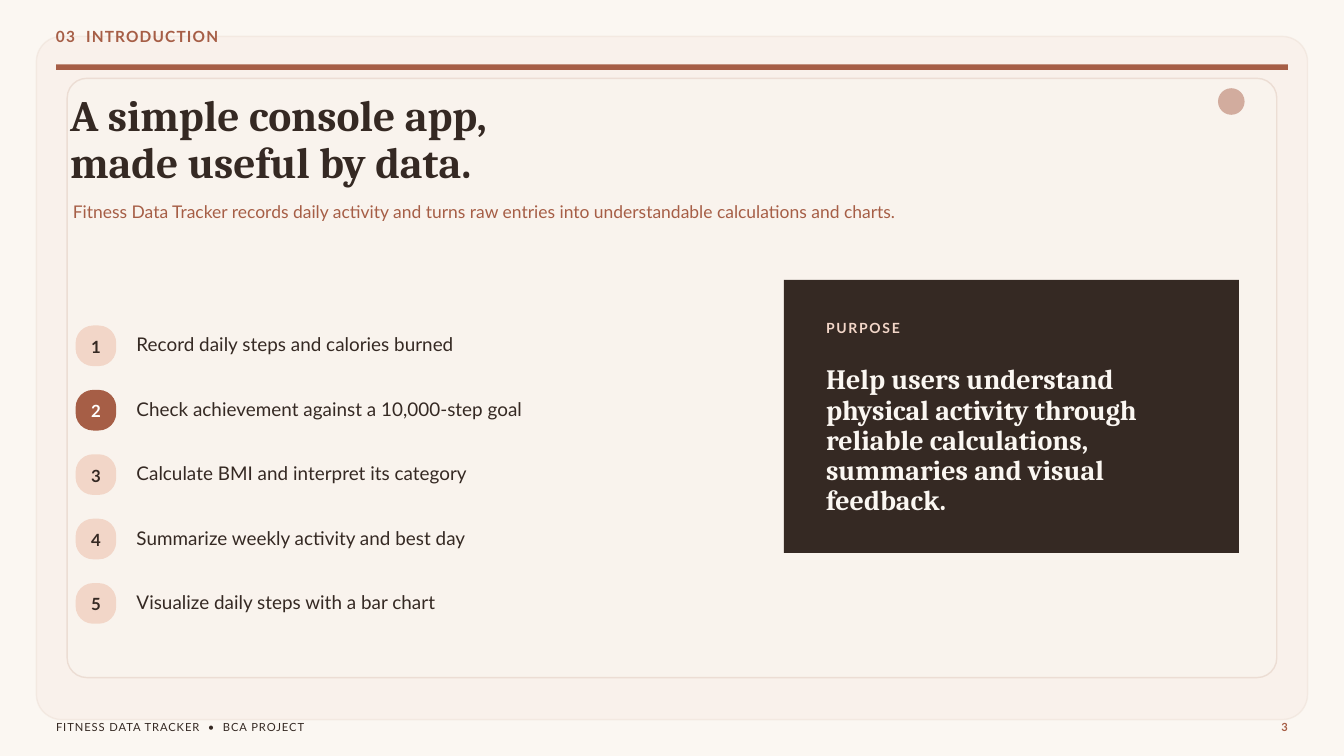
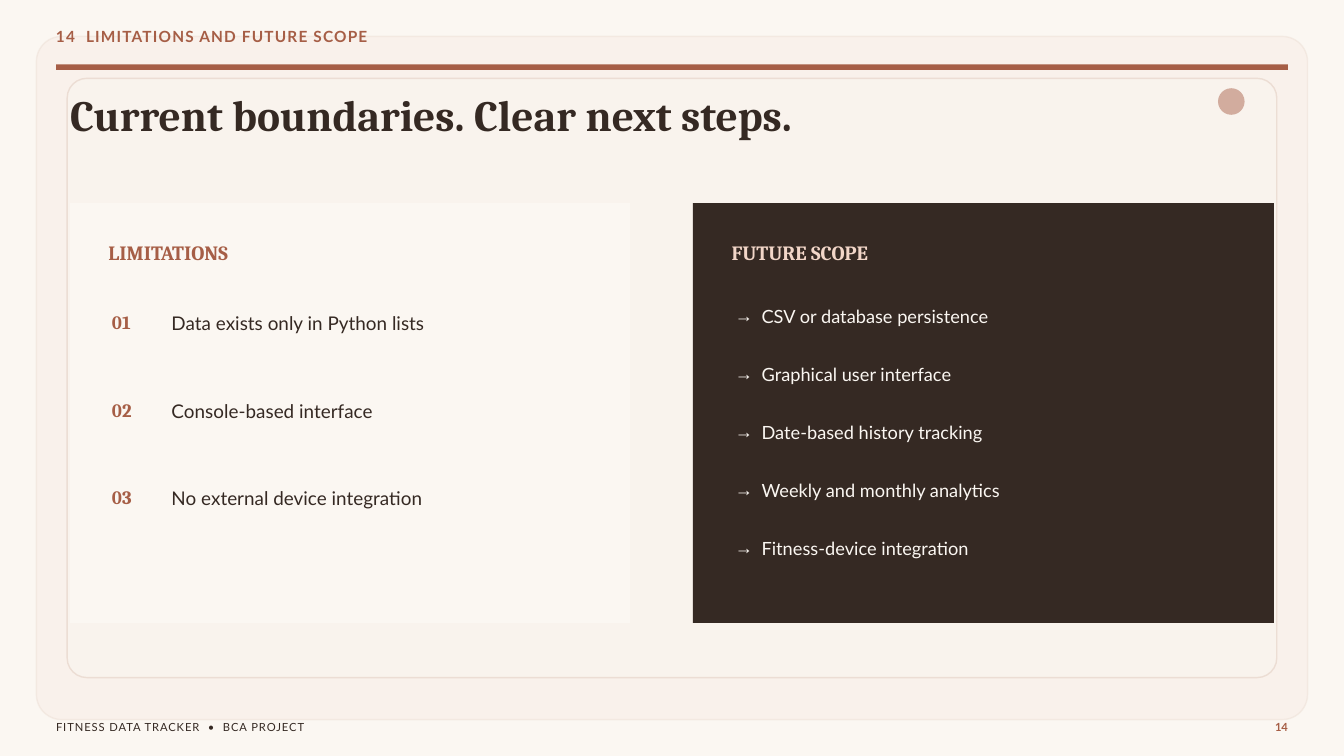
"""Build the introduction and the limitations slides of the fitness tracker deck."""
from collections import namedtuple

from lxml import etree
from pptx import Presentation
from pptx import util as u
from pptx.dml.color import RGBColor
from pptx.enum import shapes, text
from pptx.oxml import ns

CREAM = RGBColor(0xFB, 0xF7, 0xF2)
BLUSH = RGBColor(0xF2, 0xD6, 0xC8)
SAND = RGBColor(0xD5, 0xB8, 0xA8)
RUST = RGBColor(0xA6, 0x5E, 0x46)
COCOA = RGBColor(0x35, 0x29, 0x23)
WHITE = RGBColor(0xFF, 0xFF, 0xFF)

EMU_PER_PX = 9525
PT_PER_PX = 0.75

Style = namedtuple("Style", "font size bold tracking", defaults=(False, 0))
LEADING = {"Cambria": 1.08, "Lato": 1.3}
TITLE = Style("Cambria", 46.5, True)
STATEMENT = Style("Cambria", 30, True)
HEADING = Style("Cambria", 21.75, True)
ORDINAL = Style("Cambria", 20.25, True)
SECTION = Style("Lato", 16.5, True, 130)
LABEL = Style("Lato", 15, True, 180)
FOOTER = Style("Lato", 12, False, 100)
PAGE = Style("Lato", 12, True)
SUBTITLE = Style("Lato", 18.75)
ITEM = Style("Lato", 20.25)
STEP = Style("Lato", 19.5)
BADGE = Style("Lato", 18, True)


def px(*lengths):
    return [u.Emu(length * EMU_PER_PX) for length in lengths]


class Deck:
    """Holds the presentation, its shared style and the current slide."""

    def __init__(self):
        self.prs = Presentation()
        self.prs.slide_width, self.prs.slide_height = px(1920, 1080)
        background = self.prs.slide_master.background.fill
        background.solid()
        background.fore_color.rgb = CREAM
        self.slide = None

    def start(self, layout, number, section, title):
        self.slide = self.prs.slides.add_slide(self.prs.slide_layouts[layout])
        self.panel((52, 52, 1816, 976), BLUSH, radius=36, line=SAND, opacity=16)
        self.panel((1740, 126, 38, 38), RUST, radius=19, opacity=72)
        self.panel((96, 112, 1728, 856), CREAM, radius=28, line=SAND, opacity=34)
        self.panel((80, 92, 1760, 8), RUST)
        self.label((80, 36, 1500, 28), f"{number:02}  {section}", SECTION, RUST)
        self.label((80, 1027, 800, 20), "FITNESS DATA TRACKER  •  BCA PROJECT", FOOTER, COCOA)
        self.label((1740, 1027, 100, 20), str(number), PAGE, RUST, text.PP_ALIGN.RIGHT)
        self.placeholder(0, (100, 134, 1500, 68 * len(title)), title, TITLE, COCOA)

    def panel(self, box, color, radius=0, line=None, opacity=100):
        kind = shapes.MSO_SHAPE.ROUNDED_RECTANGLE if radius else shapes.MSO_SHAPE.RECTANGLE
        panel = self.slide.shapes.add_shape(kind, *px(*box))
        panel.shadow.inherit = False
        if radius:
            panel.adjustments[0] = radius / min(box[2:])
        panel.fill.solid()
        panel.fill.fore_color.rgb = color
        if line:
            panel.line.color.rgb = line
            panel.line.width = u.Pt(1.5)
        else:
            panel.line.fill.background()
        if opacity < 100:
            for tint in panel.element.spPr.iter(ns.qn("a:srgbClr")):
                etree.SubElement(tint, ns.qn("a:alpha"), val=str(opacity * 1000))
        return panel

    def label(self, box, words, style, color, align=text.PP_ALIGN.LEFT):
        label = self.slide.shapes.add_textbox(*px(*box))
        self.typeset(label, [words], style, color, align)

    def badge(self, box, words, fill, color):
        badge = self.panel(box, fill, radius=25)
        self.typeset(badge, [words], BADGE, color, text.PP_ALIGN.CENTER, text.MSO_ANCHOR.MIDDLE)

    def placeholder(self, index, box, lines, style, color, pitch=0, bullet=None):
        holder = self.slide.placeholders[index]
        holder.left, holder.top, holder.width, holder.height = px(*box)
        holder.element.getparent().append(holder.element)
        self.typeset(holder, lines, style, color, pitch=pitch, bullet=bullet)

    def typeset(self, shape, lines, style, color, align=text.PP_ALIGN.LEFT,
                anchor=text.MSO_ANCHOR.TOP, pitch=0, bullet=None):
        frame = shape.text_frame
        frame.word_wrap = True
        frame.auto_size = text.MSO_AUTO_SIZE.NONE
        frame.vertical_anchor = anchor
        frame.margin_left = frame.margin_top = frame.margin_right = frame.margin_bottom = 0
        leading = style.size * LEADING[style.font]
        for row, words in enumerate(lines):
            paragraph = frame.add_paragraph() if row else frame.paragraphs[0]
            self.mark(paragraph, bullet)
            paragraph.alignment = align
            paragraph.line_spacing = u.Pt(leading)
            paragraph.space_before = u.Pt(pitch * PT_PER_PX - leading if row and pitch else 0)
            run = paragraph.add_run()
            run.text = words
            run.font.name = style.font
            run.font.size = u.Pt(style.size)
            run.font.bold = style.bold
            run.font.color.rgb = color
            if style.tracking:
                run.font._element.set("spc", str(style.tracking))

    def mark(self, paragraph, bullet):
        properties = paragraph._p.get_or_add_pPr()
        hang = px(38)[0] if bullet else 0
        properties.set("marL", str(hang))
        properties.set("indent", str(-hang))
        if bullet:
            etree.SubElement(properties, ns.qn("a:buChar"), char=bullet)
        else:
            etree.SubElement(properties, ns.qn("a:buNone"))


def introduction(deck):
    deck.start(1, 3, "INTRODUCTION", ["A simple console app,", "made useful by data."])
    deck.label((104, 285, 1380, 32),
               "Fitness Data Tracker records daily activity and turns raw entries into "
               "understandable calculations and charts.", SUBTITLE, RUST)
    features = [
        "Record daily steps and calories burned",
        "Check achievement against a 10,000-step goal",
        "Calculate BMI and interpret its category",
        "Summarize weekly activity and best day",
        "Visualize daily steps with a bar chart",
    ]
    pitch, highlighted = 92, 1
    for row in range(len(features)):
        fill, color = (RUST, WHITE) if row == highlighted else (BLUSH, COCOA)
        deck.badge((108, 465 + row * pitch, 58, 58), str(row + 1), fill, color)
    deck.placeholder(1, (195, 473, 800, 403), features, ITEM, COCOA, pitch)
    deck.panel((1120, 400, 650, 390), COCOA)
    deck.label((1180, 454, 530, 25), "PURPOSE", LABEL, BLUSH)
    deck.label((1180, 522, 500, 261),
               "Help users understand physical activity through reliable calculations, "
               "summaries and visual feedback.", STATEMENT, CREAM)


def limitations(deck):
    deck.start(3, 14, "LIMITATIONS AND FUTURE SCOPE", ["Current boundaries. Clear next steps."])
    limits = [
        "Data exists only in Python lists",
        "Console-based interface",
        "No external device integration",
    ]
    plans = [
        "CSV or database persistence",
        "Graphical user interface",
        "Date-based history tracking",
        "Weekly and monthly analytics",
        "Fitness-device integration",
    ]
    pitch = 125
    deck.panel((100, 290, 800, 600), CREAM)
    deck.label((155, 346, 680, 34), "LIMITATIONS", HEADING, RUST)
    for row in range(len(limits)):
        deck.label((160, 447 + row * pitch, 70, 31), f"{row + 1:02}", ORDINAL, RUST)
    deck.placeholder(1, (245, 443, 560, 285), limits, ITEM, COCOA, pitch)
    deck.panel((990, 290, 830, 600), COCOA)
    deck.label((1045, 346, 700, 34), "FUTURE SCOPE", HEADING, BLUSH)
    deck.placeholder(2, (1050, 433, 690, 365), plans, STEP, CREAM, 83, "→")


def main():
    deck = Deck()
    introduction(deck)
    limitations(deck)
    deck.prs.save("out.pptx")


if __name__ == "__main__":
    main()
